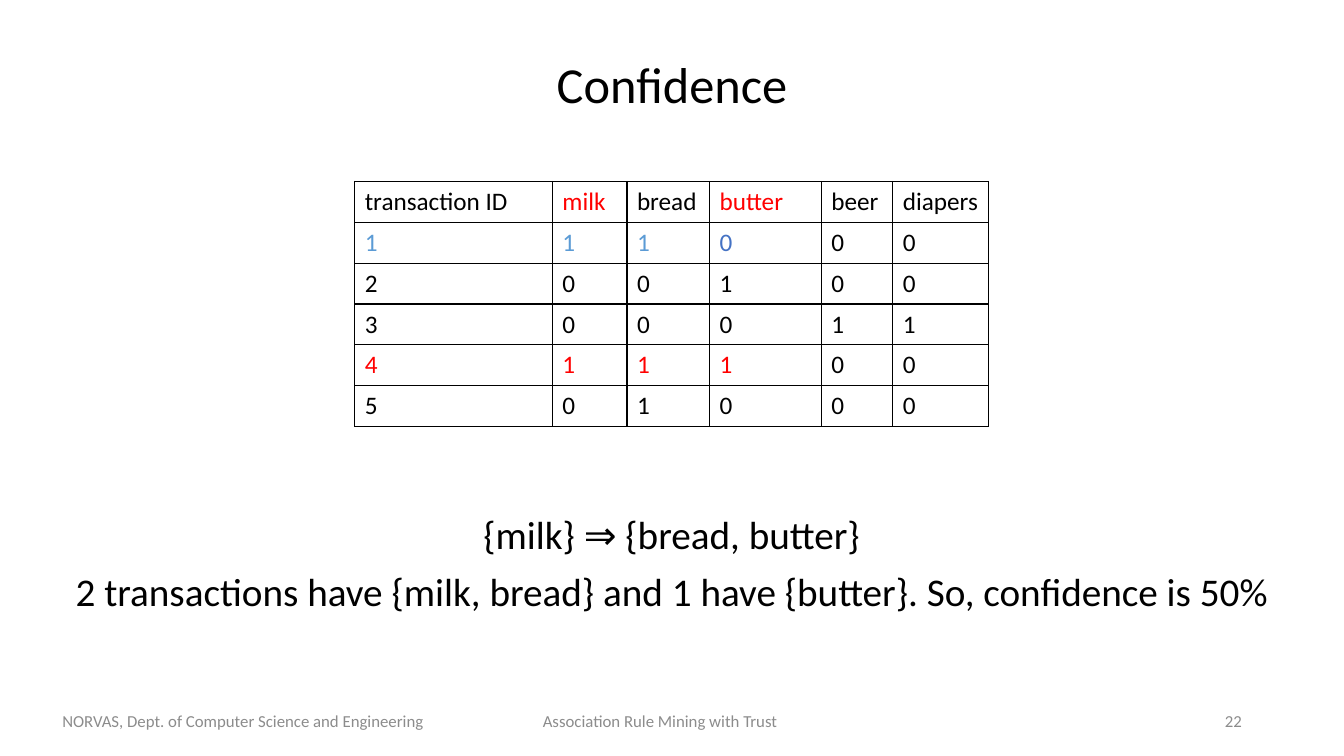
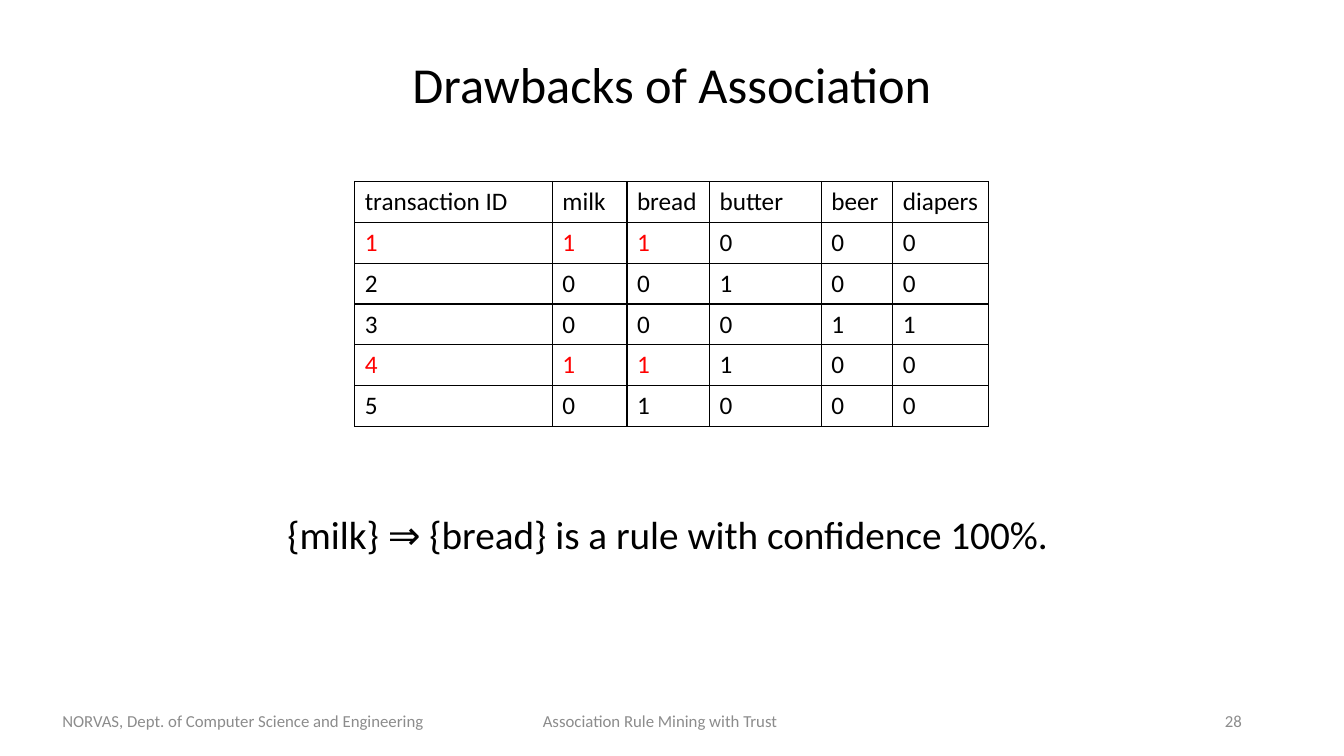
from lxml import etree
from pptx import Presentation
from pptx import util as u
from pptx.dml.color import RGBColor
from pptx.enum import text
from pptx.oxml import ns

COLOURS = {"black": "000000", "grey": "8C8C8C", "red": "FF0000",
           "sky": "5B9BD5", "blue": "4472C4"}
LEFT, CENTRE, RIGHT = text.PP_ALIGN.LEFT, text.PP_ALIGN.CENTER, text.PP_ALIGN.RIGHT
TITLE_FORMAT = {"alignment": CENTRE, "line_spacing": 0.9, "space_before": u.Pt(0)}
BODY_FORMAT = {"alignment": CENTRE, "line_spacing": 0.9, "space_before": u.Pt(10)}

FOOTER = "NORVAS, Dept. of Computer Science and Engineering\tAssociation Rule Mining with Trust"
TRANSACTIONS = [
    ["transaction ID", "milk", "bread", "butter", "beer", "diapers"],
    [1, 1, 1, 0, 0, 0],
    [2, 0, 0, 1, 0, 0],
    [3, 0, 0, 0, 1, 1],
    [4, 1, 1, 1, 0, 0],
    [5, 0, 1, 0, 0, 0],
]
COLUMN_WIDTHS = [4.98, 1.88, 2.08, 2.82, 1.8, 2.42]


def add_xml(parent, tag, **attributes):
    return etree.SubElement(parent, ns.qn(tag), attributes)


class Slides:
    """Holds the shared style and the current slide."""
    font = "Calibri"
    width, height = u.Cm(33.87), u.Cm(19.05)

    def __init__(self):
        self.deck = Presentation()
        self.deck.slide_width, self.deck.slide_height = self.width, self.height
        self.page = None

    def fill_text(self, frame, lines, size, colour="black", **formats):
        for index, line in enumerate(lines):
            para = frame.add_paragraph() if index else frame.paragraphs[0]
            for name, value in formats.items():
                setattr(para, name, value)
            span = para.add_run()
            span.text = line
            for name, value in {"name": self.font, "size": u.Pt(size)}.items():
                setattr(span.font, name, value)
            span.font.color.rgb = RGBColor.from_string(COLOURS[colour])

    def start(self, title):
        self.page = self.deck.slides.add_slide(self.deck.slide_layouts[5])
        box = self.page.shapes.title
        place = {"left": 0, "top": u.Cm(0.69), "width": self.width, "height": u.Cm(3)}
        for name, value in place.items():
            setattr(box, name, value)
        box.text_frame.vertical_anchor = text.MSO_ANCHOR.MIDDLE
        self.fill_text(box.text_frame, [title], 36, **TITLE_FORMAT)

    def text_box(self, left, top, width, height, lines, size, colour="black",
                 anchor=text.MSO_ANCHOR.TOP, **formats):
        box = self.page.shapes.add_textbox(*map(u.Cm, (left, top, width, height)))
        frame = box.text_frame
        frame.word_wrap = True
        frame.vertical_anchor = anchor
        self.fill_text(frame, lines, size, colour, **formats)
        return frame

    def footer(self, number):
        style = {"size": 12, "colour": "grey", "anchor": text.MSO_ANCHOR.MIDDLE}
        frame = self.text_box(1.32, 17.65, 31.24, 1.02, [FOOTER], alignment=LEFT, **style)
        # The tab stop sets where the talk's name begins
        stops = add_xml(frame.paragraphs[0]._p.get_or_add_pPr(), "a:tabLst")
        add_xml(stops, "a:tab", pos=str(u.Cm(12.11)), algn="l")
        self.text_box(23.93, 17.65, 7.62, 1.02, [str(number)], alignment=RIGHT, **style)

    def border(self, cell):
        properties = cell._tc.get_or_add_tcPr()
        for side in ("a:lnL", "a:lnR", "a:lnT", "a:lnB"):
            line = add_xml(properties, side, w=str(u.Pt(1)))
            add_xml(add_xml(line, "a:solidFill"), "a:srgbClr", val=COLOURS["black"])

    def table(self, rows, marks):
        """marks maps (row, column) to a colour name."""
        frame = self.page.shapes.add_table(
            len(rows), len(rows[0]), u.Cm(8.94), u.Cm(4.57),
            u.Cm(sum(COLUMN_WIDTHS)), u.Cm(1.02 * len(rows)))
        grid = frame.table
        grid.first_row = grid.horz_banding = False
        for column, width in zip(grid.columns, COLUMN_WIDTHS):
            column.width = u.Cm(width)
        for r, row in enumerate(rows):
            for c, value in enumerate(row):
                cell = grid.cell(r, c)
                cell.vertical_anchor = text.MSO_ANCHOR.MIDDLE
                self.border(cell)
                cell.fill.background()
                self.fill_text(cell.text_frame, [str(value)], 18, marks.get((r, c), "black"))


def main():
    slides = Slides()

    # Confidence
    slides.start("Confidence")
    marks = {(0, 1): "red", (0, 3): "red", (1, 3): "blue"}
    marks.update({(1, c): "sky" for c in range(3)})
    marks.update({(4, c): "red" for c in range(4)})
    slides.table(TRANSACTIONS, marks)
    slides.text_box(0.58, 12.88, 32.69, 3.84, [
        "{milk} ⇒ {bread, butter}",
        "2 transactions have {milk, bread} and 1 have {butter}. So, confidence is 50%",
    ], 28, **BODY_FORMAT)
    slides.footer(22)

    # Drawbacks
    slides.start("Drawbacks of Association")
    slides.table(TRANSACTIONS, {(r, c): "red" for r in (1, 4) for c in range(3)})
    slides.text_box(0, 12.88, 33.87, 2.51, [
        "{milk} ⇒ {bread} is a rule with confidence 100%. ",
    ], 28, **BODY_FORMAT)
    slides.footer(28)

    slides.deck.save("out.pptx")


if __name__ == "__main__":
    main()
